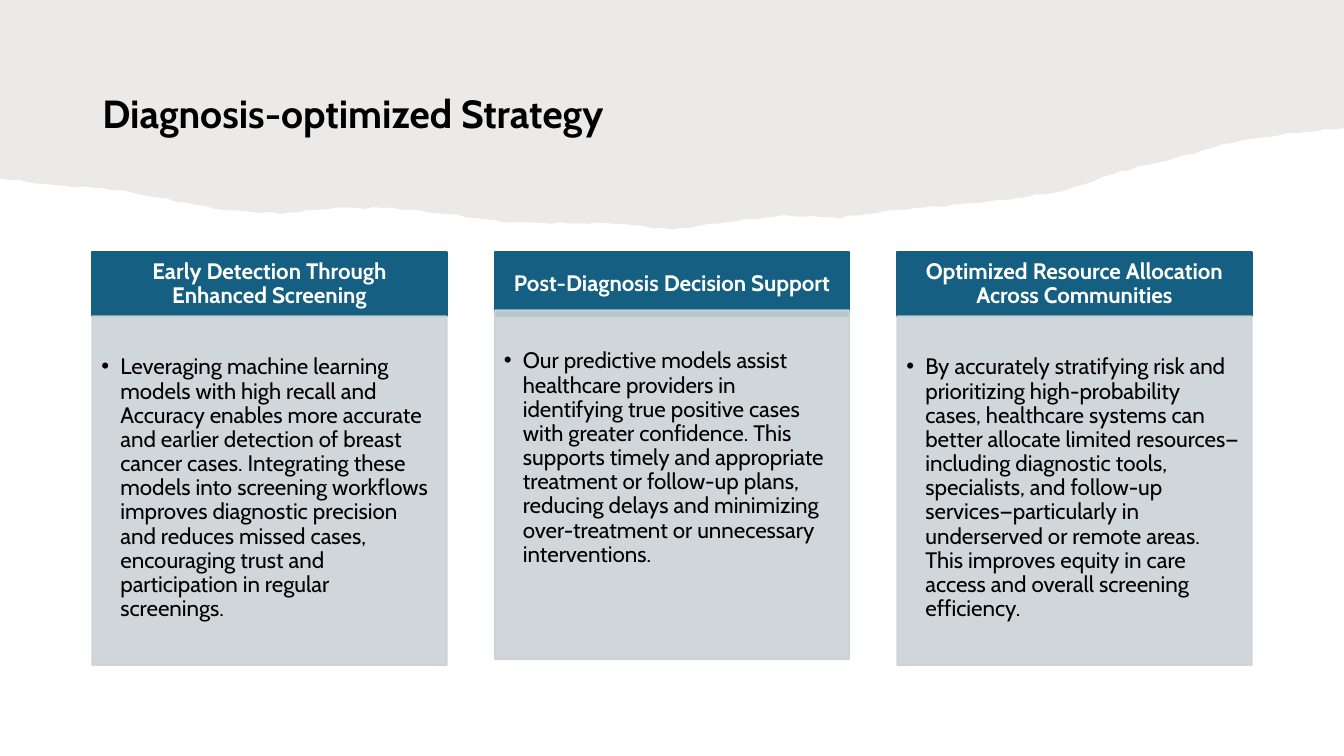
"""Build the slide on diagnosis-optimized strategy."""
from math import sin
from lxml.etree import SubElement
from pptx import Presentation
from pptx.dml.color import RGBColor as RGB
from pptx.enum.shapes import MSO_SHAPE as Preset
from pptx.enum.text import MSO_ANCHOR as Anchor, PP_ALIGN as Align
from pptx.oxml.ns import qn
from pptx.util import Pt

COLORS = {
    "text": "000000",
    "header": "156082",
    "header_text": "FFFFFF",
    "panel": "CCD2D8",
    "torn_paper": "82766A",
}
SLIDE_WIDTH, SLIDE_HEIGHT = 960, 540
SIDE_MARGIN = 66
CONTENT_WIDTH = SLIDE_WIDTH - 2 * SIDE_MARGIN
TITLE_TOP, TITLE_HEIGHT = 37.5, 64
COLUMN_WIDTH = 253
HEADER_TOP, HEADER_HEIGHT = 180, 46
PANEL_TOP, PANEL_HEIGHT = HEADER_TOP + HEADER_HEIGHT, 249
HEADER_INSETS = (8.64, 5, 8.64, 5)
PANEL_INSETS = (6.5, 28, 8.64, 10)
BULLET_INDENT = 13.5

EDGE_HEIGHTS = [
    127.5, 132.5, 135, 142.5, 150, 152.5, 148.5, 148.5, 153, 158.5, 159.5, 159.5, 164,
    158.5, 154, 155.5, 150, 146.5, 142.5, 136.5, 122.5, 113, 101.5, 95.5, 91.5,
]
EDGE_STEP = SLIDE_WIDTH / (len(EDGE_HEIGHTS) - 1)
TEARS_PER_STEP = 6
TEAR_DEPTH = 0.8

COLUMNS = [
    {"heading": "Early Detection Through Enhanced Screening",
     "panel_lift": 0,
     "body": "Leveraging machine learning models with high recall and Accuracy enables "
             "more accurate and earlier detection of breast cancer cases. Integrating "
             "these models into screening workflows improves diagnostic precision and "
             "reduces missed cases, encouraging trust and participation in regular "
             "screenings."},
    {"heading": "Post-Diagnosis Decision Support",
     "panel_lift": 4.25,
     "body": "Our predictive models assist healthcare providers in identifying true "
             "positive cases with greater confidence. This supports timely and "
             "appropriate treatment or follow-up plans, reducing delays and minimizing "
             "over-treatment or unnecessary interventions."},
    {"heading": "Optimized Resource Allocation Across Communities",
     "panel_lift": 0,
     "body": "By accurately stratifying risk and prioritizing high-probability cases, "
             "healthcare systems can better allocate limited resources—including "
             "diagnostic tools, specialists, and follow-up services—particularly in "
             "underserved or remote areas. This improves equity in care access and "
             "overall screening efficiency."},
]
COLUMN_STEP = (CONTENT_WIDTH - COLUMN_WIDTH) / (len(COLUMNS) - 1)


def torn_edge():
    """Return points from left to right along the torn edge, roughened by small waves."""
    points = []
    for step, (start, end) in enumerate(zip(EDGE_HEIGHTS, EDGE_HEIGHTS[1:])):
        for tear in range(TEARS_PER_STEP):
            share = tear / TEARS_PER_STEP
            x = (step + share) * EDGE_STEP
            roughness = TEAR_DEPTH * sin(x / 3) * sin(x / 11)
            points.append((x, start + (end - start) * share + roughness))
    return points + [(SLIDE_WIDTH, EDGE_HEIGHTS[-1])]


def write_text(shape, text, *, size=16, color="text", bold=False, align=Align.LEFT,
               anchor=Anchor.TOP, insets=(7.2, 3.6, 7.2, 3.6), bullet_indent=0,
               font_name="Cabin"):
    """Put one formatted paragraph in a shape."""
    frame = shape.text_frame
    frame.word_wrap = True
    frame.vertical_anchor = anchor
    (frame.margin_left, frame.margin_top,
     frame.margin_right, frame.margin_bottom) = map(Pt, insets)
    paragraph = frame.paragraphs[0]
    paragraph.text = text
    paragraph.alignment = align
    paragraph.line_spacing = 0.9
    if bullet_indent:
        properties = paragraph._p.get_or_add_pPr()
        properties.set("marL", str(Pt(bullet_indent)))
        properties.set("indent", str(-Pt(bullet_indent)))
        SubElement(properties, qn("a:buFont")).set("typeface", "Arial")
        SubElement(properties, qn("a:buChar")).set("char", "•")
    font = paragraph.runs[0].font
    font.name, font.size, font.bold = font_name, Pt(size), bold
    font.color.rgb = RGB.from_string(COLORS[color])


class SlideBuilder:
    """Hold the style and the current slide."""

    def __init__(self, slide, colors):
        """Keep the slide and its colours."""
        self.slide = slide
        self.colors = colors

    def paint(self, shape, color, opacity=100, line_width=0):
        """Set fill, outline and opacity."""
        shape.shadow.inherit = False
        shape.fill.solid()
        shape.fill.fore_color.rgb = RGB.from_string(self.colors[color])
        if line_width:
            shape.line.color.rgb = RGB.from_string(self.colors[color])
            shape.line.width = Pt(line_width)
        else:
            shape.line.fill.background()
        if opacity < 100:
            for tint in shape._element.spPr.iter(qn("a:srgbClr")):
                SubElement(tint, qn("a:alpha")).set("val", str(opacity * 1000))

    def outline(self, points, color, opacity):
        """Draw a closed freeform."""
        corners = [(Pt(x), Pt(y)) for x, y in points]
        freeform = self.slide.shapes.build_freeform(*corners[0])
        freeform.add_line_segments(corners[1:], close=True)
        self.paint(freeform.convert_to_shape(), color, opacity)

    def textbox(self, left, top, width, height, text, **text_format):
        """Add a text box."""
        shape = self.slide.shapes.add_textbox(Pt(left), Pt(top), Pt(width), Pt(height))
        write_text(shape, text, **text_format)

    def rectangle(self, left, top, width, height, text, fill, opacity=100, **text_format):
        """Add a filled rectangle with text."""
        shape = self.slide.shapes.add_shape(
            Preset.RECTANGLE, Pt(left), Pt(top), Pt(width), Pt(height))
        self.paint(shape, fill, opacity, line_width=1.5)
        write_text(shape, text, **text_format)

    def column(self, left, heading, body, panel_lift):
        """Add a header with its bulleted panel below."""
        self.rectangle(left, HEADER_TOP, COLUMN_WIDTH, HEADER_HEIGHT, heading, "header",
                       color="header_text", bold=True, align=Align.CENTER,
                       anchor=Anchor.MIDDLE, insets=HEADER_INSETS)
        self.rectangle(left, PANEL_TOP - panel_lift, COLUMN_WIDTH, PANEL_HEIGHT, body,
                       "panel", opacity=90, insets=PANEL_INSETS,
                       bullet_indent=BULLET_INDENT)


def main():
    """Create and save the presentation."""
    presentation = Presentation()
    presentation.slide_width, presentation.slide_height = Pt(SLIDE_WIDTH), Pt(SLIDE_HEIGHT)
    slide = presentation.slides.add_slide(presentation.slide_layouts[6])
    builder = SlideBuilder(slide, COLORS)

    top_corners = [(SLIDE_WIDTH, 0), (0, 0)]
    builder.outline(top_corners + torn_edge(), "torn_paper", opacity=15)
    builder.textbox(SIDE_MARGIN, TITLE_TOP, CONTENT_WIDTH, TITLE_HEIGHT,
                    "Diagnosis-optimized Strategy",
                    size=28, bold=True, anchor=Anchor.BOTTOM)
    for index, column in enumerate(COLUMNS):
        builder.column(SIDE_MARGIN + index * COLUMN_STEP, **column)

    presentation.save("out.pptx")


if __name__ == "__main__":
    main()
